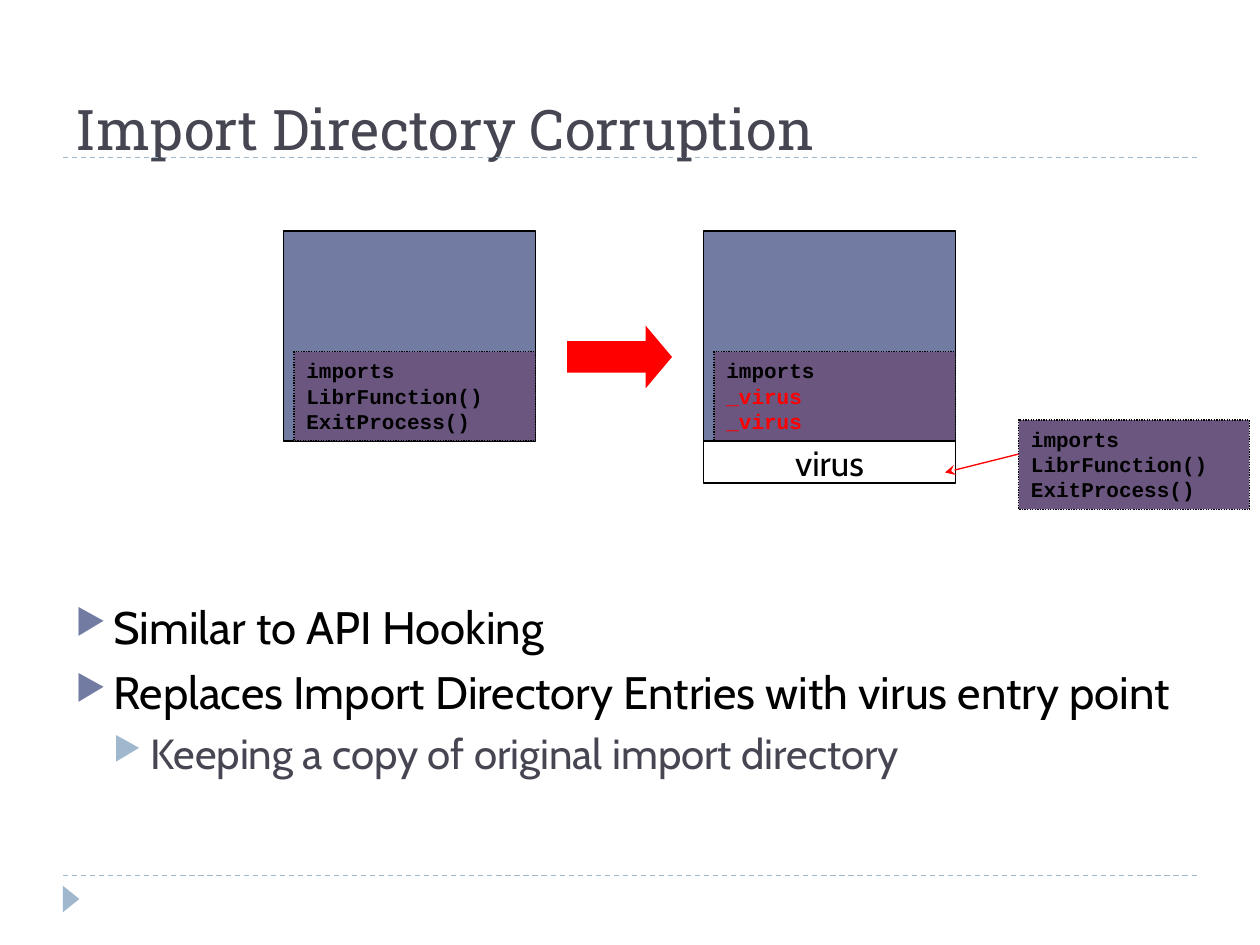
from pptx import Presentation
from pptx.dml.color import RGBColor
from pptx.enum.dml import MSO_LINE
from pptx.enum.shapes import MSO_CONNECTOR, MSO_SHAPE
from pptx.enum.text import MSO_ANCHOR, MSO_AUTO_SIZE, PP_ALIGN
from pptx.oxml.ns import qn
from pptx.util import Pt
from lxml.etree import SubElement

BLACK, WHITE, RED = "000000", "FFFFFF", "FF0000"
SLATE, PURPLE, SKY, INK = "727CA3", "6B5680", "9FB8CD", "464653"
TITLE = {"name": "Roboto Slab", "size": Pt(32), "color": INK}
BODY = {"name": "Cabin", "size": Pt(26), "color": BLACK}
SUB_BODY = {**BODY, "size": Pt(24), "color": INK}
LABEL = {**BODY, "size": Pt(20)}
CODE = {"name": "Courier New", "size": Pt(12), "bold": True, "color": BLACK}
HOOKED = {**CODE, "color": RED}
LEVELS = [(BODY, SLATE, 6), (SUB_BODY, SKY, 5)]
INDENT = 21.6


def rgb(value):
    return RGBColor.from_string(value)


class SlideBuilder:
    def __init__(self, deck):
        self.page = deck.slides.add_slide(deck.slide_layouts[5])
        self.shapes = self.page.shapes

    def add_span(self, para, text, style):
        span = para.add_run()
        span.text = text
        for name, value in style.items():
            if name == "color":
                span.font.color.rgb = rgb(value)
            else:
                setattr(span.font, name, value)

    def frame(self, box, lines, align=PP_ALIGN.LEFT, **settings):
        """Fill a box with (text, style) lines and return its paragraphs."""
        frame = box.text_frame
        defaults = {"word_wrap": True, "auto_size": MSO_AUTO_SIZE.NONE,
                    "vertical_anchor": MSO_ANCHOR.TOP}
        for name, value in {**defaults, **settings}.items():
            setattr(frame, name, value)
        for index, (text, style) in enumerate(lines):
            para = frame.add_paragraph() if index else frame.paragraphs[0]
            para.alignment = align
            self.add_span(para, text, style)
        return frame.paragraphs

    def title(self, text, left, top, width, height):
        box = self.shapes.title
        places = {"left": left, "top": top, "width": width, "height": height}
        for name, value in places.items():
            setattr(box, name, Pt(value))
        self.frame(box, [(text, TITLE)], vertical_anchor=MSO_ANCHOR.BOTTOM)

    def bullets(self, items, *place):
        box = self.shapes.add_textbox(*map(Pt, place))
        lines = [(text, LEVELS[level][0]) for level, text in items]
        for index, para in enumerate(self.frame(box, lines)):
            level = items[index][0]
            _, color, gap = LEVELS[level]
            para.level = level
            props = para._p.get_or_add_pPr()
            props.set("marL", str(Pt(INDENT * (level + 1))))
            props.set("indent", str(Pt(-INDENT)))
            SubElement(SubElement(props, qn("a:buClr")), qn("a:srgbClr"), val=color)
            SubElement(props, qn("a:buSzPct"), val="76000")
            SubElement(props, qn("a:buChar"), char="▶")
            if index:
                para.space_before = Pt(gap)

    def shape(self, kind, fill, *place, line=None, dash=None):
        shape = self.shapes.add_shape(kind, *map(Pt, place))
        shape.shadow.inherit = False
        shape.fill.solid()
        shape.fill.fore_color.rgb = rgb(fill)
        if line:
            self.stroke(shape, line, dash)
        else:
            shape.line.fill.background()
        return shape

    def stroke(self, item, color, dash=None):
        item.line.color.rgb = rgb(color)
        item.line.width = Pt(0.75)
        if dash:
            item.line.dash_style = dash

    def line(self, color, *ends, dash=None, arrow=False):
        line = self.shapes.add_connector(MSO_CONNECTOR.STRAIGHT, *map(Pt, ends))
        self.stroke(line, color, dash)
        props = line._element.spPr
        if arrow:
            SubElement(props.find(qn("a:ln")), qn("a:tailEnd"), type="stealth")
        SubElement(props, qn("a:effectLst"))

    def imports(self, left, top, width, entries):
        """Draw an import directory with its heading and (text, style) entries."""
        box = self.shape(MSO_SHAPE.RECTANGLE, PURPLE, left, top, width, 51,
                         line=BLACK, dash=MSO_LINE.ROUND_DOT)
        self.frame(box, [("imports", CODE), *entries])

    def program(self, left, entries):
        """Draw a program file whose last part is its import directory."""
        self.shape(MSO_SHAPE.RECTANGLE, SLATE, left, 132, 144, 120, line=BLACK)
        self.imports(left + 6, 201, 138, entries)


def main():
    deck = Presentation()
    deck.slide_width, deck.slide_height = Pt(720), Pt(540)
    slide = SlideBuilder(deck)

    for y in (90, 500.4):
        slide.line(SKY, 36, y, 684, y, dash=MSO_LINE.DASH)
    marker = slide.shape(MSO_SHAPE.ISOSCELES_TRIANGLE, SKY, 33.1, 509, 15.1, 9.4)
    marker.rotation = 90

    slide.title("Import Directory Corruption", 36, 9.4, 594, 86.4)
    slide.bullets([
        (0, "Similar to API Hooking"),
        (0, "Replaces Import Directory Entries with virus entry point"),
        (1, "Keeping a copy of original import directory"),
    ], 36, 339, 648, 158.4)

    clean = [("LibrFunction()", CODE), ("ExitProcess()", CODE)]
    slide.program(162, clean)
    slide.program(402, [("_virus", HOOKED)] * 2)
    virus = slide.shape(MSO_SHAPE.RECTANGLE, WHITE, 402, 252, 144, 24, line=BLACK)
    slide.frame(virus, [("virus", LABEL)], PP_ALIGN.CENTER,
                word_wrap=False, vertical_anchor=MSO_ANCHOR.MIDDLE)

    arrow = slide.shape(MSO_SHAPE.RIGHT_ARROW, RED, 324, 186, 60, 36)
    arrow.adjustments[1] = 0.42
    slide.line(RED, 588, 258, 540, 270, arrow=True)
    slide.imports(582, 240, 132, clean)

    deck.save("out.pptx")


if __name__ == "__main__":
    main()
